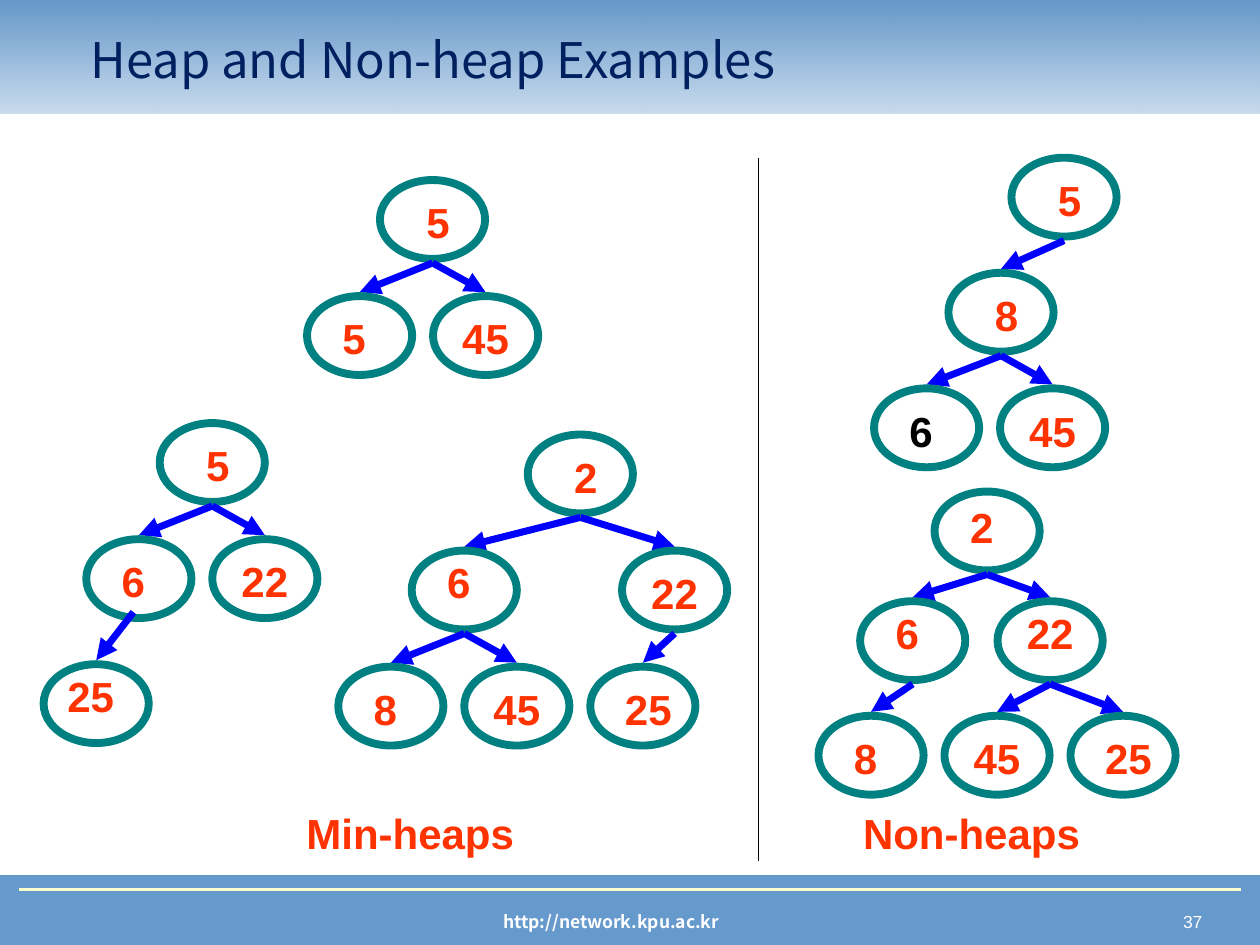
from dataclasses import dataclass
from typing import Optional

from lxml.etree import SubElement
from pptx import Presentation
from pptx.dml.color import RGBColor
from pptx.enum.shapes import MSO_CONNECTOR as Link, MSO_SHAPE as Form
from pptx.enum.text import MSO_ANCHOR as Anchor, MSO_AUTO_SIZE as Fit, PP_ALIGN as Align
from pptx.oxml.ns import qn
from pptx.util import Cm, Pt

HEX = {
    "blue": "6699CC", "sky": "6497C9", "navy": "002060", "teal": "008080",
    "arrow": "0000FF", "red": "FF3300", "black": "000000", "white": "FFFFFF",
    "cream": "FFFFCC",
}
SANS, KOREAN = "Arial", "Noto Sans CJK KR"
OVAL_W, OVAL_H = 2.12, 1.59   # node size
GAP = 0.08                    # space between an arrow end and an oval
SHIFT = 0.11                  # sideways offset of a label in its oval


@dataclass
class Node:
    key: str
    x: float                  # centre
    y: float                  # top
    side: int = 0             # label sits left (-1), centred (0) or right (1)
    kids: tuple["Node", ...] = ()
    drop: float = 0.21        # label top below oval top
    color: str = "red"
    start: Optional[tuple[float, float]] = None  # own start of the arrow to it


HEAPS = (
    Node("5", 8.72, 3.63, 1, (
        Node("5", 7.25, 5.97, -1),
        Node("45", 9.79, 5.97))),
    Node("5", 4.28, 8.53, 1, (
        Node("6", 2.8, 10.87, -1, (
            Node("25", 1.94, 13.39, -1, drop=0, start=(2.69, 12.34)),)),
        Node("22", 5.34, 10.87))),
    Node("2", 11.7, 8.76, 1, (
        Node("6", 9.36, 11.1, -1, (
            Node("8", 7.88, 13.44, -1),
            Node("45", 10.42, 13.44)), drop=0),
        Node("22", 13.6, 11.1, 0, (
            Node("25", 12.96, 13.44, 1),)))),
)
OTHERS = (
    Node("5", 21.45, 3.18, 1, (
        Node("8", 20.18, 5.5, 1, (
            Node("6", 18.68, 7.83, -1, color="black"),
            Node("45", 21.22, 7.83))),)),
    Node("2", 19.9, 9.91, -1, (
        Node("6", 18.4, 12.12, -1, (
            Node("8", 17.56, 14.43, -1),), drop=0),
        Node("22", 21.17, 12.12, 0, (
            Node("45", 20.1, 14.43),
            Node("25", 22.64, 14.43, 1)), drop=0)), drop=0.08),
)


def rgb(name: str) -> RGBColor:
    return RGBColor.from_string(HEX[name])


def style(para, size: float, color: str, face: str = SANS, bold: bool = True) -> None:
    font = para.font
    font.size, font.name, font.bold = Pt(size), face, bold
    font.color.rgb = rgb(color)


def add_form(slide, form, x: float, y: float, w: float, h: float):
    shape = slide.shapes.add_shape(form, Cm(x), Cm(y), Cm(w), Cm(h))
    shape.shadow.inherit = False
    return shape


def add_text(slide, text: str, x: float, y: float, w: float, h: float, size: float = 24,
             color: str = "red", face: str = SANS, bold: bool = True,
             align=Align.CENTER) -> None:
    frame = slide.shapes.add_textbox(Cm(x), Cm(y), Cm(w), Cm(h)).text_frame
    frame.word_wrap = True
    para = frame.paragraphs[0]
    para.text, para.alignment = text, align
    style(para, size, color, face, bold)


def add_line(slide, x1: float, y1: float, x2: float, y2: float,
             color: str, width: float, head: bool = False) -> None:
    line = slide.shapes.add_connector(Link.STRAIGHT, Cm(x1), Cm(y1), Cm(x2), Cm(y2))
    line.line.color.rgb = rgb(color)
    line.line.width = Pt(width)
    props = line.element.spPr
    if head:
        SubElement(props.find(qn("a:ln")), qn("a:tailEnd"), type="triangle")
    SubElement(props, qn("a:effectLst"))


def add_tree(slide, node: Node) -> None:
    oval = add_form(slide, Form.OVAL, node.x - OVAL_W / 2, node.y, OVAL_W, OVAL_H)
    oval.fill.background()
    oval.line.color.rgb = rgb("teal")
    oval.line.width = Pt(4.5)
    for kid in node.kids:
        x, y = kid.start or (node.x, node.y + OVAL_H + GAP)
        add_line(slide, x, y, kid.x, kid.y - GAP, "arrow", 4, head=True)
        add_tree(slide, kid)
    wide = 1.07 if len(node.key) == 1 else 1.7
    left = node.x + node.side * SHIFT - wide / 2
    add_text(slide, node.key, left, node.y + node.drop, wide, 1.27, color=node.color)


def add_frame(slide) -> None:
    # Footer bar
    bar = add_form(slide, Form.RECTANGLE, 0, 17.65, 25.4, 1.4)
    bar.fill.solid()
    bar.fill.fore_color.rgb = bar.line.color.rgb = rgb("blue")
    bar.line.width = Pt(0.75)
    add_text(slide, "37", 18.85, 18.24, 5.64, 0.69, 10, "white", bold=False,
             align=Align.RIGHT)
    add_text(slide, "http://network.kpu.ac.kr", 5.77, 18.24, 13.1, 0.69, 10,
             "white", KOREAN)
    add_line(slide, 0.38, 17.93, 25.02, 17.93, "cream", 1.5)

    # Header band, fading downwards
    band = add_form(slide, Form.RECTANGLE, 0, 0, 25.4, 2.29)
    band.line.fill.background()
    band.fill.gradient()
    band.fill.gradient_angle = 90
    for stop, name in zip(band.fill.gradient_stops, ("blue", "sky")):
        stop.color.rgb = rgb(name)
    low = next(band.element.spPr.iter(qn("a:srgbClr")))
    SubElement(low, qn("a:alpha"), val="35000")


def add_title(slide, text: str) -> None:
    title = slide.shapes.title
    title.left, title.top, title.width, title.height = Cm(1.57), Cm(0.41), Cm(21.44), Cm(1.57)
    frame = title.text_frame
    frame.text = text
    frame.auto_size, frame.vertical_anchor = Fit.NONE, Anchor.MIDDLE
    frame.paragraphs[0].alignment = Align.LEFT
    style(frame.paragraphs[0], 28, "navy", KOREAN, bold=False)
    slide.shapes.element.append(title.element)  # in front of the band


def main() -> None:
    deck = Presentation()
    deck.slide_width, deck.slide_height = Cm(25.4), Cm(19.05)
    slide = deck.slides.add_slide(deck.slide_layouts[5])
    add_frame(slide)
    add_title(slide, "Heap and Non-heap Examples")

    # Trees on both sides of the divider
    for tree in HEAPS + OTHERS:
        add_tree(slide, tree)
    add_line(slide, 15.29, 3.18, 15.29, 17.35, "black", 1)
    add_text(slide, "Min-heaps", 5.31, 16.15, 5.92, 1.27)
    add_text(slide, "Non-heaps", 16.31, 16.15, 6.55, 1.27)
    deck.save("out.pptx")


if __name__ == "__main__":
    main()
